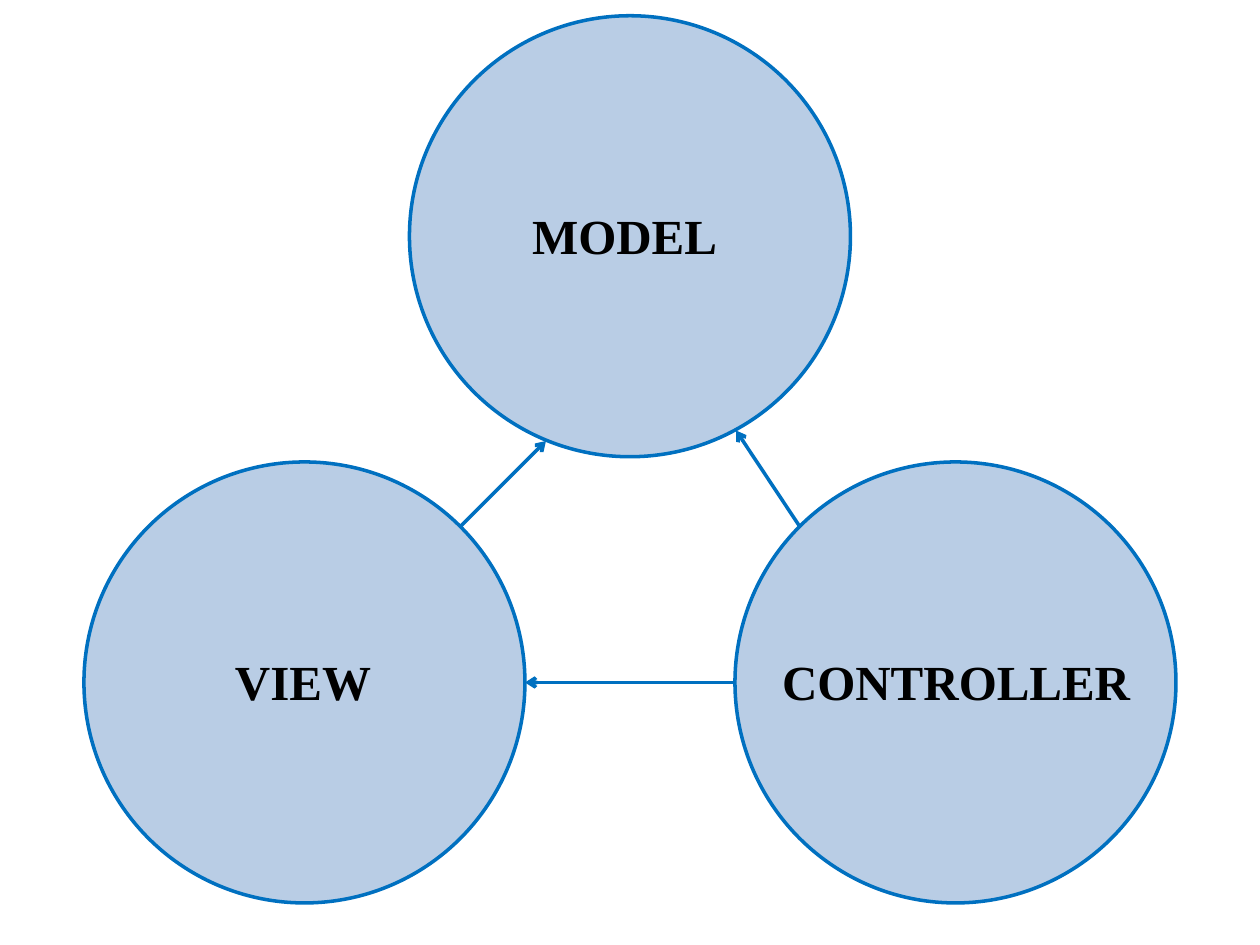
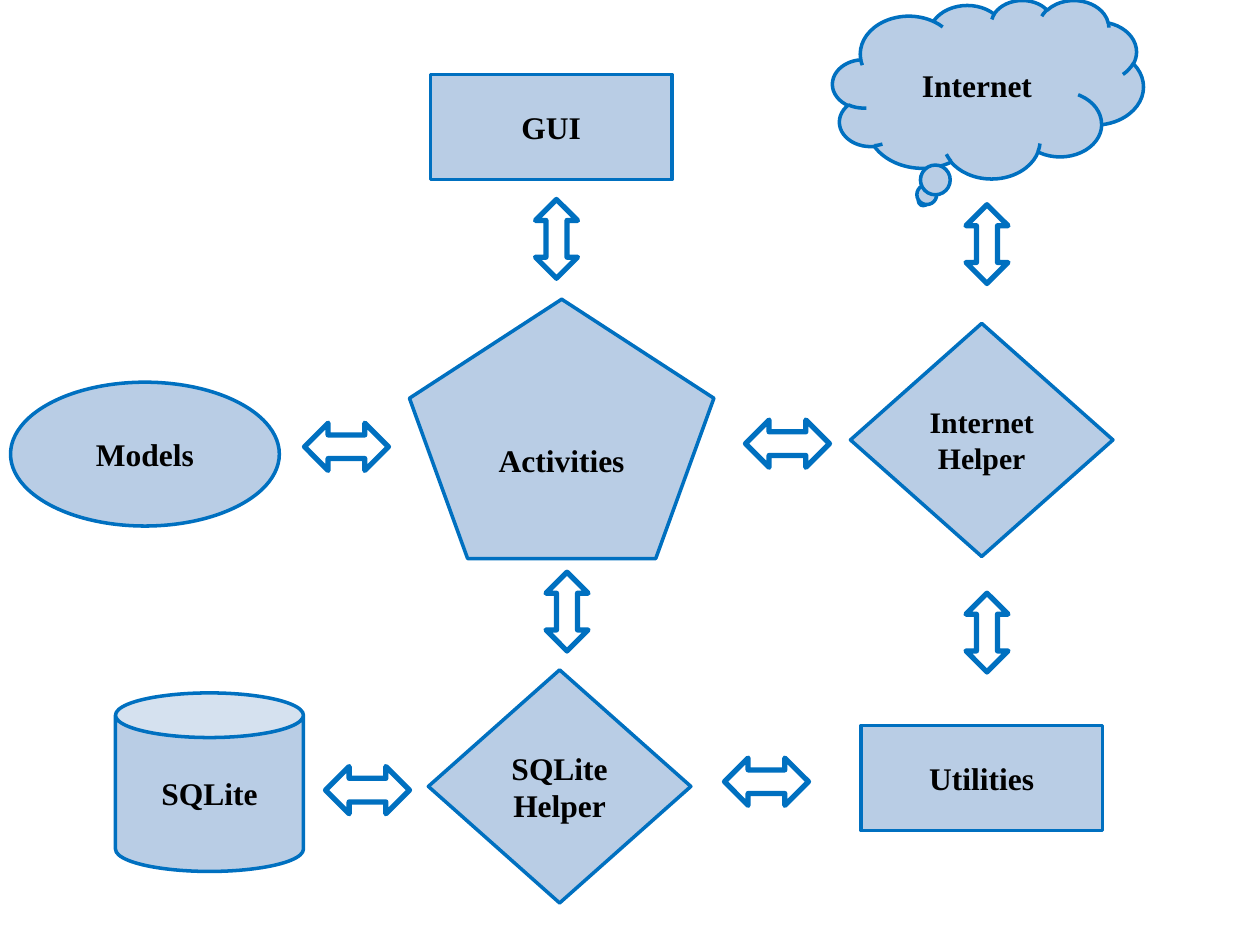
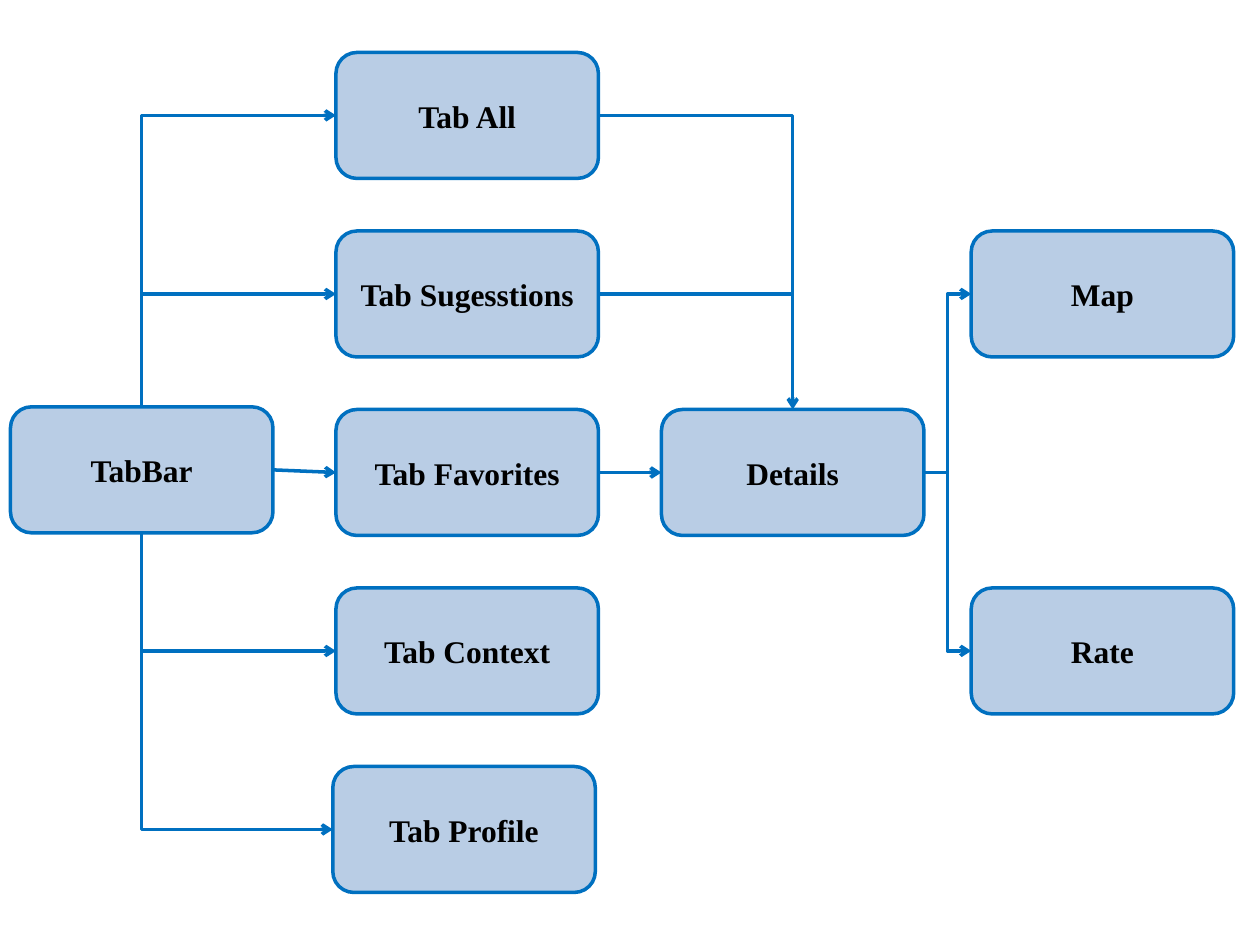
from lxml.etree import SubElement
from pptx import Presentation
from pptx.dml.color import RGBColor
from pptx.enum.shapes import MSO_CONNECTOR, MSO_SHAPE
from pptx.enum.text import MSO_ANCHOR, MSO_AUTO_SIZE, PP_ALIGN
from pptx.oxml.ns import qn
from pptx.util import Inches, Pt

COLORS = {"fill": "B9CDE5", "line": "0070C0", "text": "000000"}
COLUMNS, ROWS = 120, 90
FONT = {"name": "Times New Roman", "bold": True}


def apply_format(target, values):
    for name, value in values.items():
        setattr(target, name, value)


class DiagramBuilder:
    def __init__(self, presentation):
        self.presentation = presentation
        self.slide = None

    def new_slide(self):
        self.slide = self.presentation.slides.add_slide(self.presentation.slide_layouts[6])

    def grid(self, *values):
        steps = (self.presentation.slide_width / COLUMNS, self.presentation.slide_height / ROWS)
        return [round(value * steps[index % 2]) for index, value in enumerate(values)]

    def color(self, name):
        return RGBColor.from_string(COLORS[name])

    def outline(self, shape, width):
        shape.line.color.rgb = self.color("line")
        shape.line.width = Pt(width)

    def set_text(self, text_frame, text, size, alignment):
        paragraph = text_frame.paragraphs[0]
        paragraph.text = text
        paragraph.alignment = alignment
        for run in paragraph.runs:
            apply_format(run.font, {**FONT, "size": Pt(size)})
            run.font.color.rgb = self.color("text")

    def shape(self, kind, box, line_width=2):
        shape = self.slide.shapes.add_shape(kind, *self.grid(*box))
        shape.shadow.inherit = False
        self.outline(shape, line_width)
        return shape

    def node(self, kind, box, text="", size=18):
        shape = self.shape(kind, box)
        shape.fill.solid()
        shape.fill.fore_color.rgb = self.color("fill")
        if text:
            shape.text_frame.vertical_anchor = MSO_ANCHOR.MIDDLE
            self.set_text(shape.text_frame, text, size, PP_ALIGN.CENTER)

    def block_arrow(self, kind, box):
        self.shape(kind, box, 3).fill.background()

    def label(self, box, text, size):
        text_frame = self.slide.shapes.add_textbox(*self.grid(*box)).text_frame
        apply_format(text_frame, {"word_wrap": False, "auto_size": MSO_AUTO_SIZE.SHAPE_TO_FIT_TEXT})
        self.set_text(text_frame, text, size, PP_ALIGN.LEFT)

    def link(self, start, end, kind=MSO_CONNECTOR.STRAIGHT, arrow=True):
        connector = self.slide.shapes.add_connector(kind, *self.grid(*start, *end))
        self.outline(connector, 2)
        properties = connector._element.spPr
        if arrow:
            SubElement(properties.find(qn("a:ln")), qn("a:tailEnd"), type="arrow")
        SubElement(properties, qn("a:effectLst"))
        return connector

    def corner(self, start, end, vertical_first=False):
        rotation = 0
        if vertical_first:
            width, height = end[0] - start[0], end[1] - start[1]
            middle = (start[0] + width / 2, start[1] + height / 2)
            reach = abs(height) / 2
            rise = width / 2 if height > 0 else -width / 2
            start = (middle[0] + reach, middle[1] - rise)
            end = (middle[0] - reach, middle[1] + rise)
            rotation = 270 if height > 0 else 90
        properties = self.link(start, end, MSO_CONNECTOR.ELBOW)._element.spPr
        properties.find(qn("a:prstGeom")).set("prst", "bentConnector2")
        if rotation:
            properties.find(qn("a:xfrm")).set("rot", str(rotation * 60000))


def build_pattern(builder):
    builder.new_slide()
    diameter = 42
    circles = [
        ("MODEL", 39, 1.5, 49.5, 20.2),
        ("CONTROLLER", 70, 44, 73.3, 35.9),
        ("VIEW", 8, 44, 21.2, 15.5),
    ]
    for _, column, row, _, _ in circles:
        builder.node(MSO_SHAPE.OVAL, (column, row, diameter, diameter))
    for start, end in [((76.2, 50.2), (70.1, 41)), ((43.8, 50.2), (52, 42)), ((70, 65), (50, 65))]:
        builder.link(start, end)
    for text, _, row, label_column, label_width in circles:
        builder.label((label_column, row + 17.5, label_width, 6.8), text, 28)


def build_architecture(builder):
    builder.new_slide()
    for kind, box, text, size in [
        (MSO_SHAPE.OVAL, (1, 36.4, 25.6, 13.7), "Models", 18),
        (MSO_SHAPE.RECTANGLE, (41, 7.1, 23, 10), "GUI", 18),
        (MSO_SHAPE.CAN, (11, 66, 17.9, 17), "SQLite", 18),
        (MSO_SHAPE.REGULAR_PENTAGON, (39, 28.5, 29, 24.7), "Activities", 18),
        (MSO_SHAPE.DIAMOND, (81, 30.8, 25, 22.2), "Internet\nHelper", 17),
        (MSO_SHAPE.DIAMOND, (40.8, 63.8, 25, 22.2), "SQLite\nHelper", 18),
        (MSO_SHAPE.RECTANGLE, (82, 69.1, 23, 10), "Utilities", 18),
        (MSO_SHAPE.CLOUD_CALLOUT, (79.3, 0, 29.6, 17), "Internet", 18),
    ]:
        builder.node(kind, box, text, size)
    for column, row in [(51, 19), (92, 56.5), (52, 54.5), (92, 19.5)]:
        builder.block_arrow(MSO_SHAPE.UP_DOWN_ARROW, (column, row, 4, 7.5))
    for column, row in [(29, 40.3), (71, 40), (69, 72.2), (31, 73)]:
        builder.block_arrow(MSO_SHAPE.LEFT_RIGHT_ARROW, (column, row, 8, 4.5))


def build_navigation(builder):
    builder.new_slide()
    width, height = 25, 12
    rows = [5 + 17 * index for index in range(5)]
    middles = [row + height / 2 for row in rows]
    bar, tabs, profile, details, pages = 1, 32, 31.7, 63, 92.5
    bar_row = 38.75
    for text, column, row in [
        ("TabBar", bar, bar_row),
        ("Tab All", tabs, rows[0]),
        ("Tab Sugesstions", tabs, rows[1]),
        ("Tab Favorites", tabs, rows[2]),
        ("Tab Context", tabs, rows[3]),
        ("Tab Profile", profile, rows[4]),
        ("Details", details, rows[2]),
        ("Map", pages, rows[1]),
        ("Rate", pages, rows[3]),
    ]:
        builder.node(MSO_SHAPE.ROUNDED_RECTANGLE, (column, row, width, height), text)
    trunk, tabs_right = bar + width / 2, tabs + width
    details_middle = details + width / 2
    builder.corner((trunk, bar_row), (tabs, middles[0]), vertical_first=True)
    builder.corner((trunk, bar_row + height), (profile, middles[4]), vertical_first=True)
    builder.corner((tabs_right, middles[0]), (details_middle, rows[2]))
    builder.link((bar + width, bar_row + height / 2), (tabs, middles[2]))
    builder.link((tabs_right, middles[2]), (details, middles[2]))
    builder.link((tabs_right, middles[1]), (details_middle, middles[1]), arrow=False)
    for middle in (middles[1], middles[3]):
        builder.link((trunk, middle), (tabs, middle))
        builder.link((details + width, middles[2]), (pages, middle), MSO_CONNECTOR.ELBOW)


def main():
    presentation = Presentation()
    apply_format(presentation, {"slide_width": Inches(10), "slide_height": Inches(7.5)})
    builder = DiagramBuilder(presentation)
    for build in (build_pattern, build_architecture, build_navigation):
        build(builder)
    presentation.save("out.pptx")


if __name__ == "__main__":
    main()
